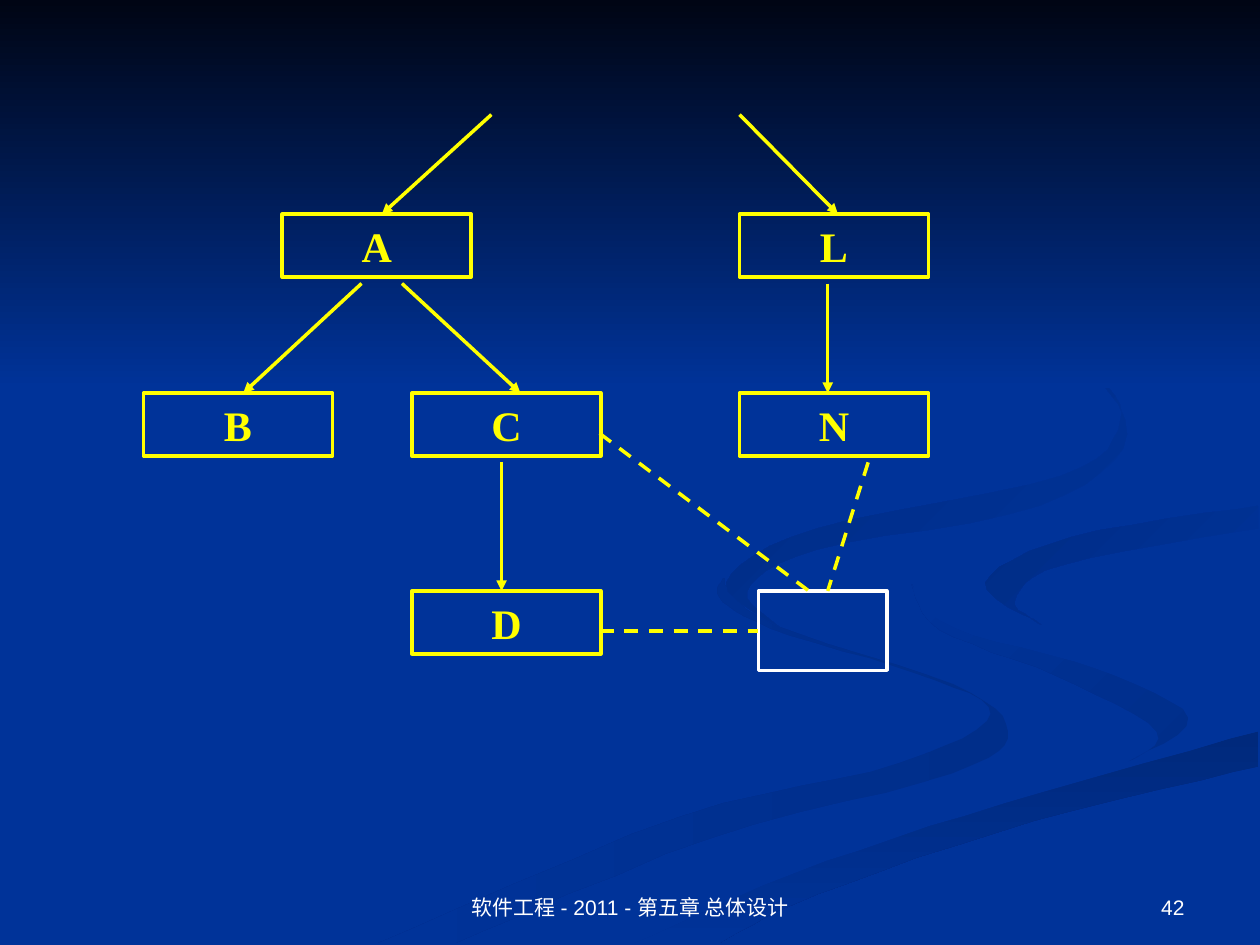
"""Build a module call tree slide with dashed links to shared data."""
import pptx
import pptx.dml.color
import pptx.enum.dml
import pptx.enum.shapes
import pptx.enum.text
import pptx.oxml.ns
import pptx.util
from lxml import etree

YELLOW, WHITE, BLUE = "FFFF00", "FFFFFF", "003399"
BOX_WIDTH, BOX_HEIGHT = 108, 36
CURVE_STEPS = 6
ROWS = {"top": 122.4, "middle": 224.6, "bottom": 337.7}
MODULES = [
    ("A", 161.3, "top"), ("D", 235.4, "bottom"), ("B", 82, "middle"),
    ("C", 235.4, "middle"), ("N", 422.6, "middle"), ("L", 422.6, "top"),
]
SHARED_DATA = (433.4, ROWS["bottom"], 73.4, 45.4)
CALLS = [
    (280.8, 65.5, 218.2, ROWS["top"]), (422.6, 65.5, 478.8, ROWS["top"]),
    (206.6, 162, 139, ROWS["middle"]), (229.7, 162, 297.4, ROWS["middle"]),
    (473, 162, 473, ROWS["middle"]), (286.6, 264.2, 286.6, ROWS["bottom"]),
]
DATA_LINKS = [
    (342.7, 247.7, 462.2, ROWS["bottom"]), (342.7, 360.7, 433.4, 360.7),
    (496.1, 264.2, 473, ROWS["bottom"]),
]
FOOTERS = [
    ("软件工程 - 2011 - 第五章 总体设计", 246.2, 228.2, "CENTER"),
    ("42", 516.2, 167.8, "RIGHT"),
]
RIBBONS = [
    (("002E8A", BLUE, 180),
     [(414, 330), (411, 341), (440, 359), (524, 385), (566, 408), (514, 436), (388, 467), (216, 539)],
     [(260, 539), (406, 479), (544, 442), (576, 418), (545, 391), (442, 357), (414, 334)]),
    (("002E8A", BLUE, 225),
     [(521, 334), (537, 360), (603, 386), (661, 418), (644, 436)],
     [(644, 436), (679, 410), (626, 382), (546, 359), (521, 334)]),
    (("00297C", BLUE, 90),
     [(362, 539), (454, 499), (574, 459), (719, 418)],
     [(719, 438), (591, 469), (467, 511), (411, 539)]),
    ((BLUE,),
     [(343, 539), (477, 481), (642, 436), (679, 410), (626, 382), (546, 359), (522, 334),
      (554, 307), (662, 289), (719, 279)],
     [(719, 289), (612, 307), (562, 333), (611, 362), (719, 387)],
     [(719, 418), (574, 459), (454, 499), (362, 539)]),
    ((BLUE, "002C85", 225),
     [(595, 357), (580, 343), (607, 323), (719, 302)],
     [(719, 289), (612, 307), (563, 333), (595, 357)]),
    ((BLUE, "002B81", 225),
     [(549, 168), (621, 210), (640, 241), (606, 272), (467, 302), (415, 333), (448, 360)],
     [(448, 360), (427, 338), (467, 314), (594, 289), (644, 248), (607, 198), (549, 168)]),
    (("000514", BLUE, 90), [(0, 0), (0, 222)], [(720, 222), (720, 0)]),
]


def color(value):
    return pptx.dml.color.RGBColor.from_string(value)


def lengths(*values):
    return [pptx.util.Pt(value) for value in values]


def write(box, text, size, font, fill, bold=False, align="CENTER", anchor="TOP"):
    frame = box.text_frame
    frame.word_wrap = True
    frame.vertical_anchor = getattr(pptx.enum.text.MSO_ANCHOR, anchor)
    para = frame.paragraphs[0]
    para.alignment = getattr(pptx.enum.text.PP_ALIGN, align)
    span = para.add_run()
    span.text = text
    span.font.size = pptx.util.Pt(size)
    span.font.name = font
    span.font.bold = bold
    span.font.color.rgb = color(fill)


def smooth(edge):
    if len(edge) == 2:
        return edge
    padded = [edge[0], *edge, edge[-1]]
    curve = []
    for knots in zip(padded, padded[1:], padded[2:], padded[3:]):
        for step in range(CURVE_STEPS):
            t = step / CURVE_STEPS
            curve.append(tuple(
                b + t * (c - a + t * (2 * a - 5 * b + 4 * c - d + t * (3 * b - a - 3 * c + d))) / 2
                for a, b, c, d in zip(*knots)
            ))
    return curve + [edge[-1]]


def add_ribbon(page, paint, edges):
    points = [point for edge in edges for point in smooth(edge)]
    builder = page.shapes.build_freeform(*points[0], scale=pptx.util.Pt(1))
    builder.add_line_segments(points[1:], close=True)
    ribbon = builder.convert_to_shape()
    ribbon.shadow.inherit = False
    ribbon.line.fill.background()
    if len(paint) == 1:
        ribbon.fill.solid()
        ribbon.fill.fore_color.rgb = color(paint[0])
        return
    ribbon.fill.gradient()
    ribbon.fill.gradient_angle = 360 - paint[2]
    for stop, position, shade in zip(ribbon.fill.gradient_stops, (0, 1), paint):
        stop.position = position
        stop.color.rgb = color(shade)


def add_box(page, place, outline):
    box = page.shapes.add_shape(pptx.enum.shapes.MSO_SHAPE.RECTANGLE, *lengths(*place))
    box.shadow.inherit = False
    box.fill.background()
    box.line.color.rgb = color(outline)
    box.line.width = pptx.util.Pt(2)
    return box


def add_link(page, ends, dashed=False):
    link = page.shapes.add_connector(pptx.enum.shapes.MSO_CONNECTOR.STRAIGHT, *lengths(*ends))
    link.line.color.rgb = color(YELLOW)
    link.line.width = pptx.util.Pt(2)
    if dashed:
        link.line.dash_style = pptx.enum.dml.MSO_LINE.DASH
    else:
        outline = link._element.spPr.find(pptx.oxml.ns.qn("a:ln"))
        etree.SubElement(outline, pptx.oxml.ns.qn("a:tailEnd"), type="triangle")
    etree.SubElement(link._element.spPr, pptx.oxml.ns.qn("a:effectLst"))


def main():
    deck = pptx.Presentation()
    deck.slide_width, deck.slide_height = lengths(720, 540)
    page = deck.slides.add_slide(deck.slide_layouts[6])
    page.background.fill.solid()
    page.background.fill.fore_color.rgb = color(BLUE)
    for paint, *edges in RIBBONS:
        add_ribbon(page, paint, edges)
    for name, left, row in MODULES:
        box = add_box(page, (left, ROWS[row], BOX_WIDTH, BOX_HEIGHT), YELLOW)
        write(box, name, size=24, font="Times New Roman", fill=YELLOW, bold=True)
    add_box(page, SHARED_DATA, WHITE)
    for ends in CALLS:
        add_link(page, ends)
    for ends in DATA_LINKS:
        add_link(page, ends, dashed=True)
    for text, left, width, align in FOOTERS:
        box = page.shapes.add_textbox(*lengths(left, 491.8, width, 37.4))
        write(box, text, size=12, font="Arial", fill=WHITE, align=align, anchor="BOTTOM")
    deck.save("out.pptx")


if __name__ == "__main__":
    main()
